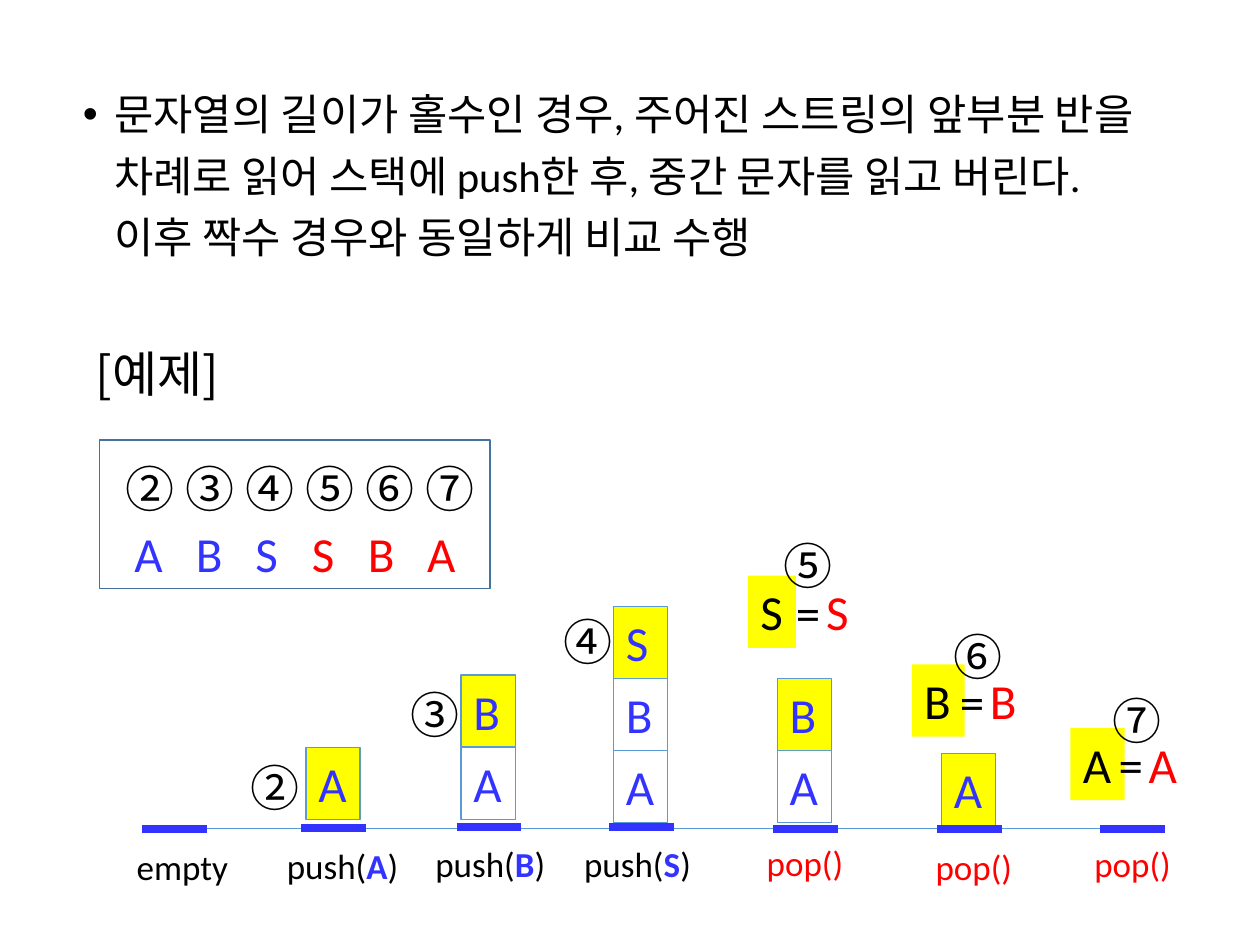
from dataclasses import dataclass

import pptx
import pptx.dml.color
import pptx.enum.shapes
import pptx.enum.text
import pptx.oxml.ns
import pptx.util
from lxml import etree

Pt = pptx.util.Pt


@dataclass(frozen=True)
class Theme:
    black: str = "000000"
    blue: str = "3333FF"
    red: str = "FF0000"
    yellow: str = "FFFF00"
    cell_line: str = "5B9BD5"
    frame_line: str = "43739E"
    latin: str = "Calibri"
    korean: str = "Noto Sans CJK KR"
    body: float = 24.4
    symbol: float = 28
    label: float = 20


THEME = Theme()
CELL_WIDTH, CELL_HEIGHT = 31, 41.25


@dataclass(frozen=True)
class Step:
    """One stack state: bar centre and height, cells from the bottom up, label."""
    centre: float
    bar_y: float
    cells: str
    bottom: float
    label: tuple
    label_left: float
    label_top: float


def push(letter):
    return (("push(", THEME.black, False), (letter, THEME.blue, True),
            (")", THEME.black, False))


POP = (("pop()", THEME.red, False),)
STEPS = (
    Step(99.9, 473.8, "", 0, (("empty", THEME.black, False),), 71, 479.5),
    Step(190.7, 473, "A", 468.2, push("A"), 156.8, 478.8),
    Step(279.4, 472.6, "AB", 468.2, push("B"), 241.7, 478),
    Step(366.5, 472.6, "ABS", 470.2, push("S"), 326.7, 478),
    Step(460.1, 473.8, "AB", 470.2, POP, 431, 477.4),
    Step(553.9, 473.8, "A", 471.7, POP, 527.5, 479.5),
    Step(647.1, 473.8, "", 0, POP, 618.2, 478),
)
PUSH_MARKS = (("②", 136.1, 429.1), ("③", 227.5, 387.4), ("④", 315, 345.6))
# letter, left, top, width, then mark, its left and top
COMPARISONS = (
    ("S", 427.4, 329, 27.4, "⑤", 440.6, 302.4),
    ("B", 521, 379.7, 30.2, "⑥", 537.8, 354.2),
    ("A", 611.7, 416, 31, "⑦", 628.6, 391),
)
LETTER_STOPS = (13.7, 48.4, 81.2, 113.4, 146.6, 181)


def rgb(value):
    return pptx.dml.color.RGBColor.from_string(value)


def add_span(para, text, color, size, font=THEME.latin, bold=False):
    span = para.add_run()
    span.text = text
    span.font.size = Pt(size)
    span.font.name = font
    span.font.bold = bold
    span.font.color.rgb = rgb(color)
    east_asian = etree.SubElement(span.font._element,
                                  pptx.oxml.ns.qn("a:ea"))
    east_asian.set("typeface", THEME.korean)


def prepare_frame(box, wrap=False):
    frame = box.text_frame
    frame.word_wrap = wrap
    frame.vertical_anchor = pptx.enum.text.MSO_ANCHOR.TOP
    frame.auto_size = pptx.enum.text.MSO_AUTO_SIZE.SHAPE_TO_FIT_TEXT
    para = frame.paragraphs[0]
    para.alignment = pptx.enum.text.PP_ALIGN.LEFT
    return para


def add_text(page, left, top, width, height, wrap=False):
    box = page.shapes.add_textbox(Pt(left), Pt(top), Pt(width), Pt(height))
    return prepare_frame(box, wrap)


def add_rectangle(page, left, top, width, height, fill=None, line=None,
                  line_width=0.75):
    box = page.shapes.add_shape(pptx.enum.shapes.MSO_SHAPE.RECTANGLE,
                                Pt(left), Pt(top), Pt(width), Pt(height))
    box.shadow.inherit = False
    if fill:
        box.fill.solid()
        box.fill.fore_color.rgb = rgb(fill)
    else:
        box.fill.background()
    if line:
        box.line.color.rgb = rgb(line)
        box.line.width = Pt(line_width)
    else:
        box.line.fill.background()
    return box


def add_letter_cell(page, letter, left, top, width, color, fill=None, line=None):
    box = add_rectangle(page, left, top, width, CELL_HEIGHT, fill, line)
    add_span(prepare_frame(box), letter, color, THEME.symbol)


def add_symbol(page, text, left, top, width, color, font=THEME.latin):
    para = add_text(page, left, top, width, CELL_HEIGHT)
    add_span(para, text, color, THEME.symbol, font)


def add_level_line(page, start, end, y, color, width):
    line = page.shapes.add_connector(pptx.enum.shapes.MSO_CONNECTOR.STRAIGHT,
                                     Pt(start), Pt(y), Pt(end), Pt(y))
    line.line.color.rgb = rgb(color)
    line.line.width = Pt(width)
    etree.SubElement(line._element.spPr, pptx.oxml.ns.qn("a:effectLst"))


def add_bullet_text(page):
    para = add_text(page, 40.3, 41, 620.6, 121.7, wrap=True)
    para.line_spacing = 1.2
    settings = para._p.get_or_add_pPr()
    settings.set("marL", str(Pt(18)))
    settings.set("indent", str(Pt(-18)))
    font = etree.SubElement(settings, pptx.oxml.ns.qn("a:buFont"))
    font.set("typeface", "Arial")
    bullet = etree.SubElement(settings, pptx.oxml.ns.qn("a:buChar"))
    bullet.set("char", "•")
    add_span(para, "문자열의 길이가 홀수인 경우, 주어진 스트링의 앞부분 반을 차례로 읽어 "
             "스택에 push한 후, 중간 문자를 읽고 버린다. 이후 짝수 경우와 동일하게 비교 수행",
             THEME.black, THEME.body)


def add_input_panel(page):
    """Framed input string, each letter centred on a tab stop under its number."""
    add_rectangle(page, 56.9, 251.3, 223.2, 85, line=THEME.frame_line,
                  line_width=1)
    numbers = add_text(page, 64.8, 258.5, 215.3, CELL_HEIGHT, wrap=True)
    add_span(numbers, "② ③ ④ ⑤ ⑥ ⑦", THEME.black, THEME.symbol, THEME.korean)
    letters = add_text(page, 64.1, 295.7, 216, CELL_HEIGHT, wrap=True)
    tabs = etree.SubElement(letters._p.get_or_add_pPr(),
                            pptx.oxml.ns.qn("a:tabLst"))
    for stop in LETTER_STOPS:
        tab = etree.SubElement(tabs, pptx.oxml.ns.qn("a:tab"))
        tab.set("pos", str(Pt(stop)))
        tab.set("algn", "ctr")
    add_span(letters, "\tA\tB\tS", THEME.blue, THEME.symbol)
    add_span(letters, "\tS\tB\tA", THEME.red, THEME.symbol)


def add_step(page, step):
    for level, letter in enumerate(step.cells, start=1):
        fill = THEME.yellow if level == len(step.cells) else None
        add_letter_cell(page, letter, step.centre - CELL_WIDTH / 2 - 0.4,
                        step.bottom - level * CELL_HEIGHT, CELL_WIDTH,
                        THEME.blue, fill, THEME.cell_line)
    add_level_line(page, step.centre - 18.5, step.centre + 18.5, step.bar_y,
                   THEME.blue, 4.5)
    width = 78 if len(step.label) > 1 else 59 if step.label == POP else 67
    para = add_text(page, step.label_left, step.label_top, width, 31.7)
    for text, color, bold in step.label:
        add_span(para, text, color, THEME.label, bold=bold)


def add_comparison(page, letter, left, top, width, mark, mark_left, mark_top):
    add_letter_cell(page, letter, left, top, width, THEME.black, THEME.yellow)
    add_symbol(page, letter, left + 37.6, top, width, THEME.red)
    add_symbol(page, "=", left + 20.4, top + 0.3, 28.8, THEME.black)
    add_symbol(page, mark, mark_left, mark_top, 39.6, THEME.black, THEME.korean)


def main():
    deck = pptx.Presentation()
    deck.slide_width, deck.slide_height = Pt(720), Pt(540)
    page = deck.slides.add_slide(deck.slide_layouts[6])
    add_bullet_text(page)
    add_symbol(page, "[예제]", 47.5, 192.6, 99.4, THEME.black, THEME.korean)
    add_input_panel(page)
    add_level_line(page, 116, 662.4, 473.6, THEME.cell_line, 0.5)
    for step in STEPS:
        add_step(page, step)
    for mark, left, top in PUSH_MARKS:
        add_symbol(page, mark, left, top, 39.6, THEME.black, THEME.korean)
    for comparison in COMPARISONS:
        add_comparison(page, *comparison)
    deck.save("out.pptx")


if __name__ == "__main__":
    main()
